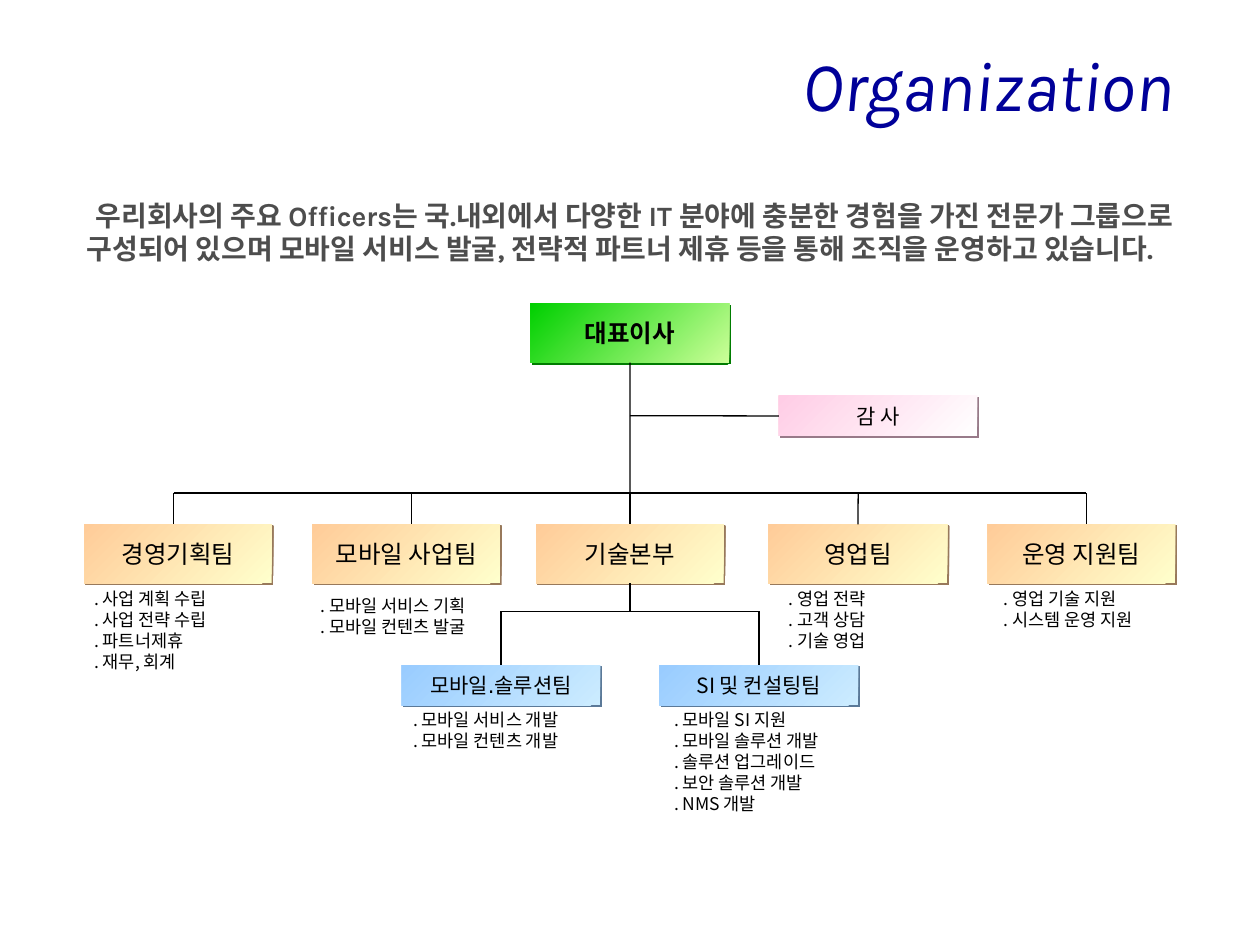
from dataclasses import dataclass

from lxml.etree import SubElement
from pptx import Presentation
from pptx.dml.color import RGBColor
from pptx.enum.shapes import MSO_CONNECTOR, MSO_SHAPE
from pptx.enum.text import MSO_ANCHOR, MSO_AUTO_SIZE, PP_ALIGN
from pptx.oxml.ns import qn
from pptx.util import Cm, Pt

HUES = {
    "title": "000099", "body": "4D4D4D", "ink": "000000", "paper": "FFFFFF",
    "head": "CCFF99", "head_end": "00D000", "head_shade": "007C00",
    "team": "FFFFCC", "team_end": "FFCC99", "team_shade": "98795B",
    "unit": "CCECFF", "unit_end": "99CCFF", "unit_shade": "5B7998",
    "audit": "FFFFFF", "audit_end": "FFCDE6", "audit_shade": "987A89",
}
KARLA, DEJA, NOTO = "Karla", "DejaVu Sans", "Noto Sans CJK KR"
TRUNK, BUS, FORK = 12.7, 9.94, 12.32
TEAM_TOP, TEAM_HIGH, UNIT_TOP, UNIT_HIGH = 10.57, 1.19, 13.41, 0.81
TOP, LEFT, BOTTOM = 0, 1, 2


@dataclass
class Box:
    text: str
    kind: str
    left: float
    top: float
    wide: float
    high: float
    size: int = 14
    font: str = DEJA
    bold: bool = False


@dataclass
class Note:
    lines: list[str]
    left: float
    top: float
    wide: float
    high: float


def team(text: str, left: float, wide: float = 3.78) -> Box:
    return Box(text, "team", left, TEAM_TOP, wide, TEAM_HIGH)


def unit(text: str, left: float, font: str) -> Box:
    return Box(text, "unit", left, UNIT_TOP, 4, UNIT_HIGH, 12, font)


HEAD = Box("대표이사", "head", 10.7, 6.12, 4, 1.19, bold=True)
AUDIT = Box("감 사", "audit", 15.7, 7.98, 4, UNIT_HIGH, 12, NOTO)
PLAN = team("경영기획팀", 1.7)
MOBILE = team("모바일 사업팀", 6.3)
TECH = team("기술본부", 10.81)
SALES = team("영업팀", 15.49, 3.61)
HELP = team("운영 지원팀", 19.91)
SOLVE = unit("모바일.솔루션팀", 8.1, DEJA)
GUIDE = unit("SI 및 컨설팅팀", 13.3, NOTO)

NOTES = [
    Note(["사업 계획 수립", "사업 전략 수립", "파트너제휴", "재무, 회계"], 1.7, 11.76, 3.1, 1.73),
    Note(["모바일 서비스 기획", "모바일 컨텐츠 발굴"], 6.27, 11.89, 4.17, 1.25),
    Note(["영업 전략", "고객 상담", "기술 영업"], 15.7, 11.76, 3.25, 1.5),
    Note(["영업 기술 지원", "시스템 운영 지원"], 20.04, 11.76, 3.25, 1.68),
    Note(["모바일 서비스 개발", "모바일 컨텐츠 개발"], 8.13, 14.2, 4.17, 1.75),
    Note(["모바일 SI 지원", "모바일 솔루션 개발", "솔루션 업그레이드", "보안 솔루션 개발",
          "NMS 개발"], 13.39, 14.2, 4.11, 2.51),
]
INTRO = ("우리회사의 주요 Officers는 국.내외에서 다양한 IT 분야에 충분한 경험을 가진 "
         "전문가 그룹으로 구성되어 있으며 모바일 서비스 발굴, 전략적 파트너 제휴 등을 통해 "
         "조직을 운영하고 있습니다.")


def tint(name: str) -> RGBColor:
    return RGBColor.from_string(HUES[name])


def write(frame, text, *, size, font=NOTO, hue="ink", bold=False, slant=False,
          align=PP_ALIGN.LEFT, anchor=MSO_ANCHOR.TOP, pitch=None, indent=None,
          wrap=True, pad=(0.25, 0.13, 0.25, 0.13)):
    frame.auto_size = MSO_AUTO_SIZE.NONE
    frame.word_wrap = wrap
    frame.vertical_anchor = anchor
    (frame.margin_left, frame.margin_top,
     frame.margin_right, frame.margin_bottom) = map(Cm, pad)
    frame.text = text
    for para in frame.paragraphs:
        if indent is not None:
            props = para._p.get_or_add_pPr()
            props.set("marL", "0")
            props.set("indent", str(Cm(indent)))
            SubElement(props, qn("a:buNone"))
        para.alignment = align
        para.space_before = para.space_after = Pt(0)
        if pitch:
            para.line_spacing = Pt(pitch)
        for run in para.runs:
            face = run.font
            face.name, face.size = font, Pt(size)
            face.bold, face.italic = bold, slant
            face.color.rgb = tint(hue)
            SubElement(run._r.get_or_add_rPr(), qn("a:ea"), typeface=NOTO)


def place(shape, left: float, top: float, wide: float, high: float) -> None:
    shape.left, shape.top, shape.width, shape.height = map(Cm, (left, top, wide, high))


def draw_box(slide, box: Box):
    shape = slide.shapes.add_shape(
        MSO_SHAPE.RECTANGLE, *map(Cm, (box.left, box.top, box.wide, box.high)))
    shape.fill.gradient()
    shape.fill.gradient_angle = 135
    for stop, end in zip(shape.fill.gradient_stops, ("", "_end")):
        stop.color.rgb = tint(box.kind + end)
    shape.line.fill.background()
    shape.shadow.inherit = False
    glow = shape._element.spPr.find(qn("a:effectLst"))
    shade = SubElement(glow, qn("a:outerShdw"), dist=str(Pt(1.4)), dir="2700000",
                       algn="ctr", rotWithShape="0")
    SubElement(shade, qn("a:srgbClr"), val=HUES[box.kind + "_shade"])
    write(shape.text_frame, box.text, size=box.size, font=box.font, bold=box.bold,
          align=PP_ALIGN.CENTER, anchor=MSO_ANCHOR.MIDDLE)
    return shape


def draw_note(slide, note: Note) -> None:
    shape = slide.shapes.add_textbox(
        *map(Cm, (note.left, note.top, note.wide, note.high)))
    shape.fill.solid()
    shape.fill.fore_color.rgb = tint("paper")
    write(shape.text_frame, "\n".join(". " + line for line in note.lines), size=10,
          pitch=12, wrap=False, pad=(0.2, 0.1, 0.2, 0.1))


def draw_line(slide, start: tuple, end: tuple, tail=None, tip=None) -> None:
    line = slide.shapes.add_connector(MSO_CONNECTOR.STRAIGHT, *map(Cm, start + end))
    line.line.color.rgb = tint("ink")
    line.line.width = Pt(0.75)
    SubElement(line._element.spPr, qn("a:effectLst"))
    if tail:
        line.begin_connect(*tail)
    if tip:
        line.end_connect(*tip)


def main() -> None:
    deck = Presentation()
    deck.slide_width, deck.slide_height = Cm(25.4), Cm(19.05)
    slide = deck.slides.add_slide(deck.slide_layouts[1])

    title, body = slide.shapes.title, slide.placeholders[1]
    place(title, 1.5, 0.71, 22.4, 2.08)
    write(title.text_frame, "Organization", size=40, font=KARLA, hue="title", slant=True,
          align=PP_ALIGN.RIGHT, anchor=MSO_ANCHOR.MIDDLE, pad=(0.25, 0, 0.25, 0.13))
    place(body, 1.5, 3.53, 22.6, 2.29)
    write(body.text_frame, INTRO, size=16, font=KARLA, hue="body", bold=True,
          anchor=MSO_ANCHOR.MIDDLE, pitch=19, indent=0.18)

    for note in NOTES:
        draw_note(slide, note)
    head, audit, tech, sales, solve, guide = (
        draw_box(slide, box) for box in (HEAD, AUDIT, TECH, SALES, SOLVE, GUIDE))
    for box in (PLAN, MOBILE, HELP):
        draw_box(slide, box)

    draw_line(slide, (TRUNK, 7.31), (TRUNK, BUS), tail=(head, BOTTOM))
    draw_line(slide, (TRUNK, 8.38), (15.7, 8.38), tip=(audit, LEFT))
    draw_line(slide, (3.5, BUS), (21.9, BUS))
    for x in (3.5, 8.3, 21.9):
        draw_line(slide, (x, BUS), (x, TEAM_TOP))
    for x, shape in ((TRUNK, tech), (17.3, sales)):
        draw_line(slide, (x, BUS), (x, TEAM_TOP), tip=(shape, TOP))
    draw_line(slide, (TRUNK, 11.76), (TRUNK, FORK), tail=(tech, BOTTOM))
    draw_line(slide, (10.1, FORK), (15.3, FORK))
    for x, shape in ((10.1, solve), (15.3, guide)):
        draw_line(slide, (x, FORK), (x, UNIT_TOP), tip=(shape, TOP))

    deck.save("out.pptx")


if __name__ == "__main__":
    main()
